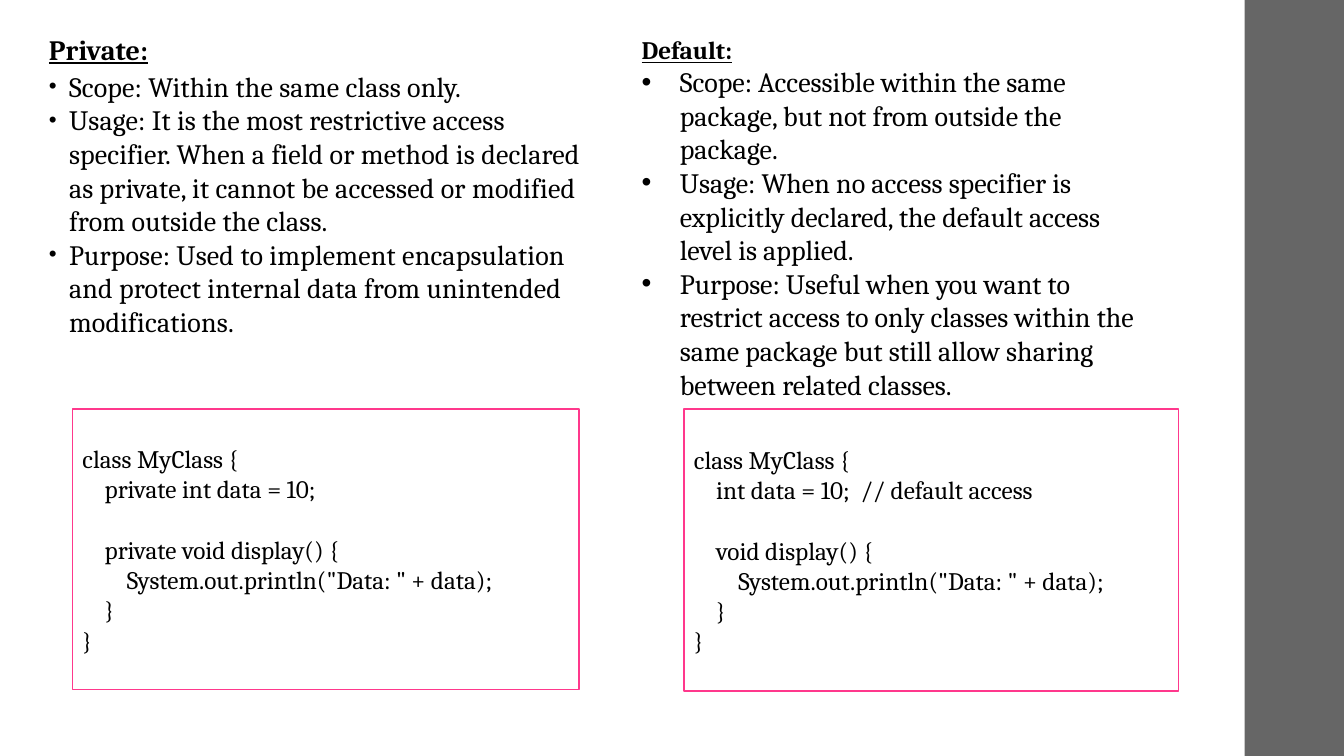
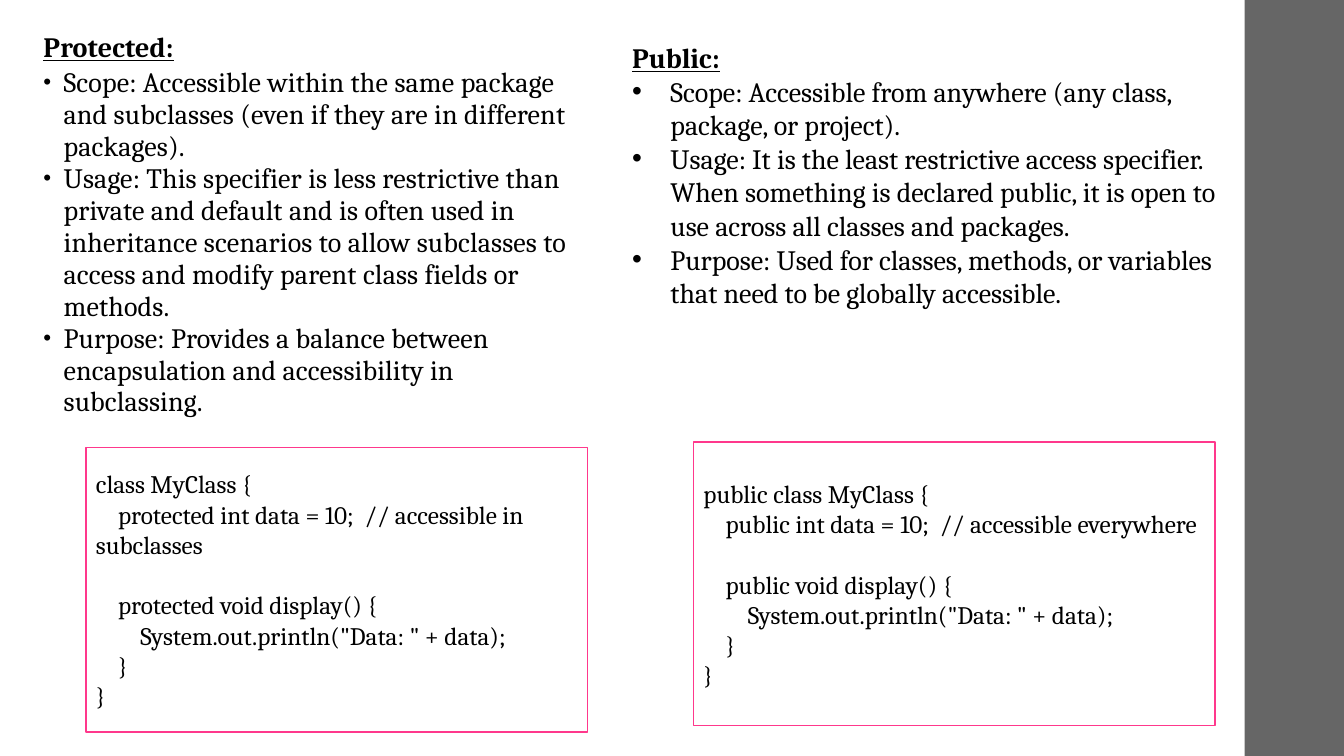
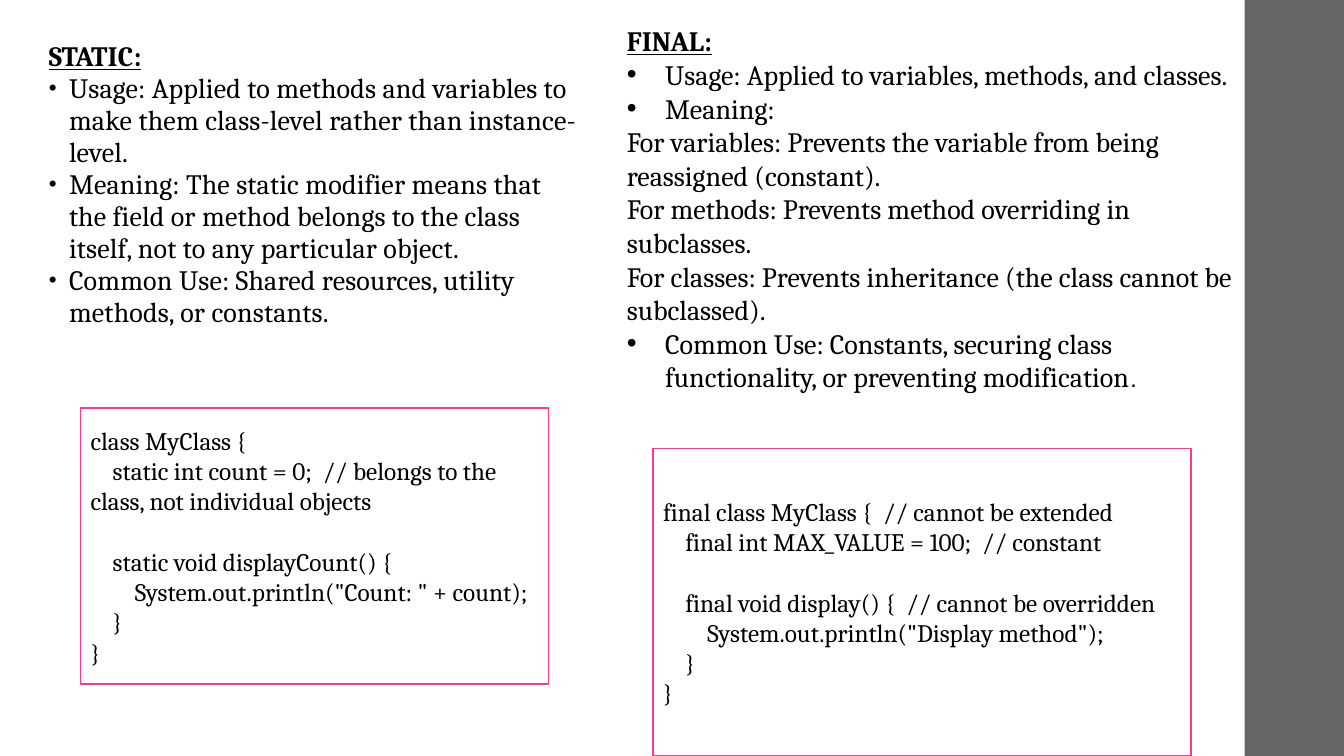
from lxml.etree import SubElement
from pptx import Presentation
from pptx.dml.color import RGBColor
from pptx.enum.shapes import MSO_SHAPE
from pptx.enum.text import MSO_ANCHOR, PP_ALIGN
from pptx.oxml.ns import qn
from pptx.util import Inches, Pt

WHITE = RGBColor(0xFF, 0xFF, 0xFF)
BLACK = RGBColor(0, 0, 0)
GRAY = RGBColor(0x66, 0x66, 0x66)
PINK = RGBColor(0xFF, 0x38, 0x8C)
FACE = "Cambria"
BAND = (92.6, 0, 7.4, 100)

# Each column: heading, heading size, space after it, line spacing of the
# points, place of the text, points, place of the code, code.
# Places are left, top, width and height in percent of the slide.
SLIDES = [
    [
        ("Private:", 20, 2, 1.0, (2.9, 3.9, 42.6, 89.2), [
            "• Scope: Within the same class only.",
            "• Usage: It is the most restrictive access specifier. When a field or method "
            "is declared as private, it cannot be accessed or modified from outside the class.",
            "• Purpose: Used to implement encapsulation and protect internal data from "
            "unintended modifications.",
        ], (5.4, 54.1, 37.7, 37.1), """class MyClass {
    private int data = 10;

    private void display() {
        System.out.println("Data: " + data);
    }
}"""),
        ("Default:", 18, 0, 1.0, (47, 3.9, 39.4, 50.3), [
            "• Scope: Accessible within the same package, but not from outside the package.",
            "• Usage: When no access specifier is explicitly declared, the default access "
            "level is applied.",
            "• Purpose: Useful when you want to restrict access to only classes within the "
            "same package but still allow sharing between related classes.",
        ], (50.9, 54.1, 36.8, 37.3), """class MyClass {
    int data = 10;  // default access

    void display() {
        System.out.println("Data: " + data);
    }
}"""),
    ],
    [
        ("Protected:", 20, 2, 0.95, (2.5, 3.6, 40.7, 89.2), [
            "• Scope: Accessible within the same package and subclasses (even if they are "
            "in different packages).",
            "• Usage: This specifier is less restrictive than private and default and is "
            "often used in inheritance scenarios to allow subclasses to access and modify "
            "parent class fields or methods.",
            "• Purpose: Provides a balance between encapsulation and accessibility in "
            "subclassing.",
        ], (6.4, 59.2, 37.3, 37.6), """class MyClass {
    protected int data = 10;  // accessible in subclasses

    protected void display() {
        System.out.println("Data: " + data);
    }
}"""),
        ("Public:", 20, 0, 1.0, (46.3, 4.7, 45.4, 46.3), [
            "• Scope: Accessible from anywhere (any class, package, or project).",
            "• Usage: It is the least restrictive access specifier. When something is "
            "declared public, it is open to use across all classes and packages.",
            "• Purpose: Used for classes, methods, or variables that need to be globally "
            "accessible.",
        ], (51.6, 58.5, 38.8, 37.5), """public class MyClass {
    public int data = 10;  // accessible everywhere

    public void display() {
        System.out.println("Data: " + data);
    }
}"""),
    ],
    [
        ("STATIC:", 20, 0, 0.95, (2.9, 4.8, 40.9, 85.7), [
            "• Usage: Applied to methods and variables to make them class-level rather "
            "than instance-level.",
            "• Meaning: The static modifier means that the field or method belongs to the "
            "class itself, not to any particular object.",
            "• Common Use: Shared resources, utility methods, or constants.",
        ], (6, 54, 34.8, 36.5), """class MyClass {
    static int count = 0;  // belongs to the class, not individual objects

    static void displayCount() {
        System.out.println("Count: " + count);
    }
}"""),
        ("FINAL:", 20, 0, 1.0, (45.9, 2.5, 47.8, 57.3), [
            "• Usage: Applied to variables, methods, and classes.",
            "• Meaning:",
            "For variables: Prevents the variable from being reassigned (constant).",
            "For methods: Prevents method overriding in subclasses.",
            "For classes: Prevents inheritance (the class cannot be subclassed).",
            "• Common Use: Constants, securing class functionality, or preventing "
            "modification",
        ], (48.6, 59.3, 40, 40.7), """final class MyClass {  // cannot be extended
    final int MAX_VALUE = 100;  // constant

    final void display() {  // cannot be overridden
        System.out.println("Display method");
    }
}"""),
    ],
]

deck = Presentation()
deck.slide_width, deck.slide_height = Inches(13.33), Inches(7.5)


def place(at):
    """Turn percent of the slide into lengths."""
    sides = (deck.slide_width, deck.slide_height) * 2
    return [int(side * part / 100) for side, part in zip(sides, at)]


def style(para, size, head=False):
    para.alignment = PP_ALIGN.LEFT
    font = para.font
    font.name, font.size = FACE, Pt(size)
    font.bold = font.underline = head
    font.color.rgb = BLACK


for columns in SLIDES:
    slide = deck.slides.add_slide(deck.slide_layouts[6])
    shapes = slide.shapes
    band = shapes.add_shape(MSO_SHAPE.RECTANGLE, *place(BAND))
    band.shadow.inherit = False
    band.fill.solid()
    band.fill.fore_color.rgb = GRAY
    band.line.fill.background()

    for side, (head, size, after, lead, spot, points, area, code) in enumerate(columns):
        left = side == 0
        frame = shapes.add_textbox(*place(spot)).text_frame
        frame.word_wrap = True
        title = frame.paragraphs[0]
        title.text = head
        title.line_spacing = 0.95 if left else 1.0
        title.space_after = Pt(after)
        style(title, size, head=True)

        hang = Inches(0.2 if left else 0.38)
        for point in points:
            para = frame.add_paragraph()
            para.text = point.removeprefix("• ")
            para.line_spacing = lead
            if point.startswith("• "):
                props = para._p.get_or_add_pPr()
                props.set("marL", str(hang))
                props.set("indent", str(-hang))
                if left:
                    SubElement(props, qn("a:buSzPct"), val="80000")
                SubElement(props, qn("a:buFont"), typeface="Arial")
                SubElement(props, qn("a:buChar"), char="•")
            style(para, 20)
        if left:
            for para in frame.paragraphs:
                para._p.pPr.find(qn("a:defRPr")).set("spc", "10")
        if head == "FINAL:":
            stop = para.add_run()
            stop.text = "."
            stop.font.name, stop.font.size = "DejaVu Sans Mono", Pt(10)
            stop.font.bold = True

        box = shapes.add_shape(MSO_SHAPE.RECTANGLE, *place(area))
        box.shadow.inherit = False
        box.fill.solid()
        box.fill.fore_color.rgb = WHITE
        box.line.color.rgb, box.line.width = PINK, Pt(1.1)
        frame = box.text_frame
        frame.word_wrap = True
        frame.vertical_anchor = MSO_ANCHOR.MIDDLE
        para, gap = frame.paragraphs[0], 0
        for row, line in enumerate(code.split("\n")):
            text = line.lstrip()
            if not text:
                gap = 21.6
                continue
            if row:
                para = frame.add_paragraph()
            para.text = text
            para.space_before, gap = Pt(gap), 0
            depth = (len(line) - len(text)) // 4
            para._p.get_or_add_pPr().set("indent", str(Inches(0.22 * depth)))
            style(para, 18)

deck.save("out.pptx")
